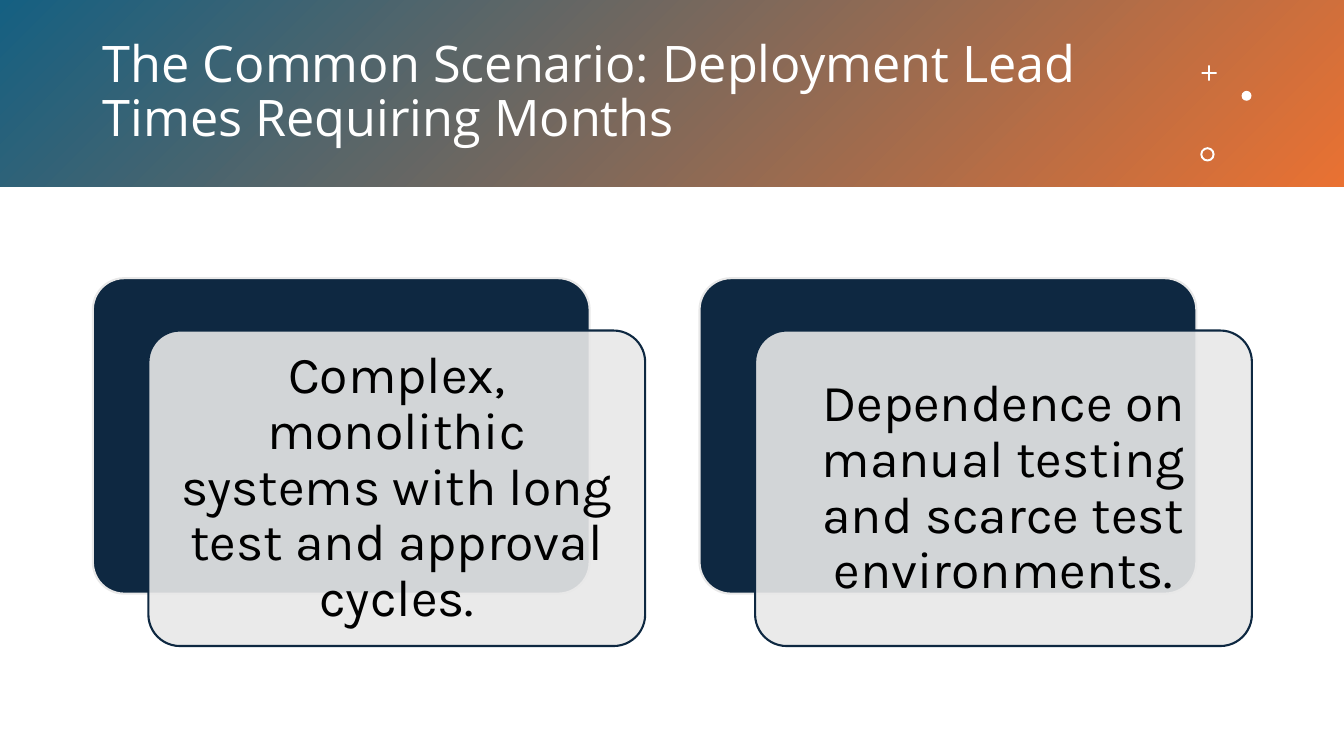
import dataclasses

import pptx
import pptx.dml.color
import pptx.enum.shapes
import pptx.enum.text
import pptx.oxml
import pptx.oxml.ns
import pptx.util
from pptx.util import Cm

SHAPES = pptx.enum.shapes.MSO_SHAPE
ALIGN = pptx.enum.text.PP_ALIGN
COLORS = {
    "blue": "156082",
    "orange": "E97132",
    "navy": "0E2841",
    "mist": "E8E8E8",
    "white": "FFFFFF",
    "black": "000000",
}

CARD_LEFT, CARD_TOP = 2.34, 7.01
CARD_WIDTH, CARD_HEIGHT = 12.52, 7.95
CARD_PITCH = 15.29
FRONT_SHIFT_X, FRONT_SHIFT_Y = 1.4, 1.32


@dataclasses.dataclass(frozen=True)
class Box:
    left: float
    top: float
    width: float
    height: float

    def lengths(self) -> tuple:
        return Cm(self.left), Cm(self.top), Cm(self.width), Cm(self.height)


@dataclasses.dataclass(frozen=True)
class Ornament:
    kind: pptx.enum.shapes.MSO_SHAPE
    box: Box
    adjustment: float | None = None


ORNAMENTS = [
    Ornament(SHAPES.CROSS, Box(30.28, 1.65, 0.38, 0.38), 0.44),
    Ornament(SHAPES.OVAL, Box(31.29, 2.29, 0.25, 0.25)),
    Ornament(SHAPES.DONUT, Box(30.25, 3.71, 0.36, 0.36), 0.14),
]
SCENARIOS = [
    "Complex, monolithic systems with long test and approval cycles.",
    "Dependence on manual testing and scarce test environments.",
]


def color(name: str) -> pptx.dml.color.RGBColor:
    return pptx.dml.color.RGBColor.from_string(COLORS[name])


def add_shape(slide, kind, box: Box, fill: str, line: str | None = None,
              adjustment: float | None = None, opacity: int = 100):
    shape = slide.shapes.add_shape(kind, *box.lengths())
    shape.shadow.inherit = False
    shape.fill.solid()
    shape.fill.fore_color.rgb = color(fill)
    if opacity < 100:
        fill_color = shape.fill._xPr.find(".//" + pptx.oxml.ns.qn("a:srgbClr"))
        alpha = pptx.oxml.parse_xml(
            f'<a:alpha {pptx.oxml.ns.nsdecls("a")} val="{opacity * 1000}"/>')
        fill_color.append(alpha)
    if line:
        shape.line.color.rgb = color(line)
        shape.line.width = pptx.util.Pt(1.5)
    else:
        shape.line.fill.background()
    if adjustment is not None:
        shape.adjustments[0] = adjustment
    return shape


def write_text(shape, text: str, *, font: str, size: float, fill: str,
               align, inset_x: float, inset_y: float) -> None:
    frame = shape.text_frame
    frame.word_wrap = True
    frame.vertical_anchor = pptx.enum.text.MSO_ANCHOR.MIDDLE
    frame.margin_left = frame.margin_right = Cm(inset_x)
    frame.margin_top = frame.margin_bottom = Cm(inset_y)
    paragraph = frame.paragraphs[0]
    paragraph.alignment = align
    paragraph.line_spacing = 0.9
    run = paragraph.add_run()
    run.text = text
    run.font.name = font
    run.font.size = pptx.util.Pt(size)
    run.font.color.rgb = color(fill)


def add_header(slide, width: float) -> None:
    banner = add_shape(slide, SHAPES.RECTANGLE, Box(0, 0, width, 4.7), "blue")
    banner.fill.gradient()
    banner.fill.gradient_angle = 315
    for stop, name in zip(banner.fill.gradient_stops, ("blue", "orange")):
        stop.color.rgb = color(name)
    title = slide.shapes.add_textbox(*Box(2.34, 0.84, 27.31, 3.02).lengths())
    write_text(title, "The Common Scenario: Deployment Lead Times Requiring Months",
               font="Open Sans", size=36, fill="white", align=ALIGN.LEFT,
               inset_x=0.25, inset_y=0.13)
    for ornament in ORNAMENTS:
        add_shape(slide, ornament.kind, ornament.box, "white",
                  adjustment=ornament.adjustment)


def add_card(slide, left: float, text: str) -> None:
    back = Box(left, CARD_TOP, CARD_WIDTH, CARD_HEIGHT)
    front = dataclasses.replace(back, left=left + FRONT_SHIFT_X,
                                top=CARD_TOP + FRONT_SHIFT_Y)
    add_shape(slide, SHAPES.ROUNDED_RECTANGLE, back, "navy", "mist", 0.1)
    panel = add_shape(slide, SHAPES.ROUNDED_RECTANGLE, front, "mist", "navy",
                      0.1, opacity=90)
    write_text(panel, text, font="Karla", size=37, fill="black",
               align=ALIGN.CENTER, inset_x=0.38, inset_y=0.38)


def main() -> None:
    presentation = pptx.Presentation()
    presentation.slide_width = Cm(33.87)
    presentation.slide_height = Cm(19.05)
    slide = presentation.slides.add_slide(presentation.slide_layouts[6])
    add_header(slide, 33.87)
    for index, text in enumerate(SCENARIOS):
        add_card(slide, CARD_LEFT + index * CARD_PITCH, text)
    presentation.save("out.pptx")


if __name__ == "__main__":
    main()
